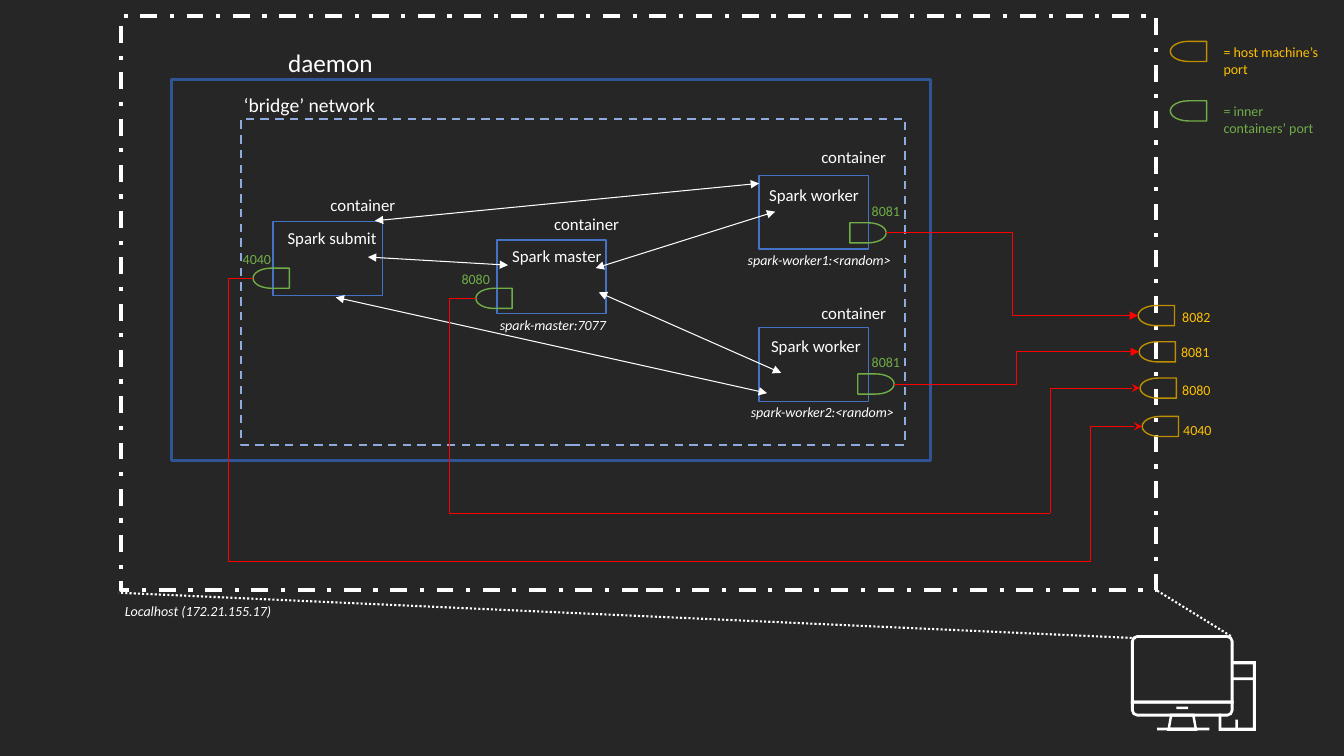
from pptx import Presentation
from pptx.dml.color import RGBColor
from pptx.enum.dml import MSO_LINE as DASH
from pptx.enum.shapes import MSO_CONNECTOR as WIRE, MSO_SHAPE as SHAPE
from pptx.enum.text import MSO_AUTO_SIZE as FIT, PP_ALIGN as ALIGN
from pptx.oxml.ns import qn
from pptx.util import Pt
from lxml.etree import SubElement

DARK = RGBColor(0x26, 0x26, 0x26)
WHITE = RGBColor(0xFF, 0xFF, 0xFF)
NAVY = RGBColor(0x2F, 0x55, 0x97)
BLUE = RGBColor(0x44, 0x72, 0xC4)
PALE = RGBColor(0x8F, 0xAA, 0xDC)
GREEN = RGBColor(0x70, 0xAD, 0x47)
GOLD = RGBColor(0xFF, 0xC0, 0x00)
BROWN = RGBColor(0xBD, 0x8E, 0x00)
RED = RGBColor(0xFF, 0x00, 0x00)

PORT_W, PORT_H = 26, 14.4
NODE_W, NODE_H = 78, 52.7

deck = Presentation()
deck.slide_width, deck.slide_height = Pt(960), Pt(540)
slide = deck.slides.add_slide(deck.slide_layouts[6])
slide.background.fill.solid()
slide.background.fill.fore_color.rgb = DARK
shapes = slide.shapes


def outline(kind, x, y, w, h, color, width, dash=None):
    shape = shapes.add_shape(kind, Pt(x), Pt(y), Pt(w), Pt(h))
    shape.shadow.inherit = False
    shape.fill.background()
    shape.line.color.rgb = color
    shape.line.width = Pt(width)
    if dash:
        shape.line.dash_style = dash
    return shape


def label(text, x, y, w, h, size, color=WHITE, italic=False):
    box = shapes.add_textbox(Pt(x), Pt(y), Pt(w), Pt(h))
    frame = box.text_frame
    frame.word_wrap = True
    frame.auto_size = FIT.SHAPE_TO_FIT_TEXT
    para = frame.paragraphs[0]
    para.text = text
    font = para.font
    font.name, font.size, font.italic = "Calibri", Pt(size), italic
    font.color.rgb = color
    return frame


def link(kind, x1, y1, x2, y2, color, width, head=None, tail=None):
    wire = shapes.add_connector(kind, Pt(x1), Pt(y1), Pt(x2), Pt(y2))
    wire.line.color.rgb = color
    wire.line.width = Pt(width)
    line = wire.line._get_or_add_ln()
    for tag, tip in (("a:headEnd", head), ("a:tailEnd", tail)):
        if tip:
            SubElement(line, qn(tag), type=tip)
    SubElement(wire._element.spPr, qn("a:effectLst"))
    return wire


def elbow(x1, y1, x2, y2, turn, tail=None):
    """Red wire whose upright part stands at x = turn."""
    wire = link(WIRE.ELBOW, x1, y1, x2, y2, RED, 0.5, tail=tail)
    bend = round((turn - x1) / (x2 - x1) * 100000)
    geom = wire._element.spPr.find(qn("a:prstGeom"))
    guides = geom.find(qn("a:avLst"))
    if guides is None:
        guides = SubElement(geom, qn("a:avLst"))
    SubElement(guides, qn("a:gd"), name="adj1", fmla=f"val {bend}")


def port(x, y, color, left=True):
    shape = outline(SHAPE.FLOWCHART_DELAY, x, y, PORT_W, PORT_H, color, 1)
    if left:
        shape.rotation = 180


def solid(x, y, *loops):
    """White area; a second loop cuts a hole."""
    first, *more = [[(Pt(x + a), Pt(y + b)) for a, b in loop] for loop in loops]
    path = shapes.build_freeform(*first[0])
    path.add_line_segments(first[1:])
    for loop in more:
        path.move_to(*loop[0])
        path.add_line_segments(loop[1:])
    paint(path.convert_to_shape())


def paint(shape):
    shape.shadow.inherit = False
    shape.fill.solid()
    shape.fill.fore_color.rgb = WHITE
    shape.line.fill.background()


def round_end(x, y, w, h, cut, up):
    """Corner points of a panel, rounded at its top or its bottom."""
    bit = 0.3 * cut
    half = [(0, h), (0, cut), (bit, bit), (cut, 0)]
    loop = half + [(w - a, b) for a, b in reversed(half)]
    return [(x + a, y + (b if up else h - b)) for a, b in loop]


def computer(x, y):
    for top, h, up in ((0, 49, True), (46.8, 11.5, False)):
        solid(x, y, round_end(0, top, 73.4, h, 4.5, up),
              round_end(2.1, top + 2.1, 69.2, h - 4.2, 2.4, up))
    solid(x, y, [(47.5, 68.4), (25.9, 68.4), (28.1, 56.2), (45.4, 56.2)],
          [(28.1, 66.2), (45.4, 66.2), (43.9, 58.3), (29.5, 58.3)])
    solid(x, y, [(89.3, 68.4), (62.6, 68.4), (62.6, 56.2), (64.7, 56.2), (64.7, 66.2),
                 (87.1, 66.2), (87.1, 20.9), (72, 20.9), (72, 18.7), (89.3, 18.7)])
    for a, b, w, h in ((32.4, 51.1, 8.6, 1.8), (18.7, 66.2, 37.4, 2),
                       (72, 30.2, 17.3, 2), (74.7, 60.5, 1.8, 7.6)):
        paint(shapes.add_shape(SHAPE.RECTANGLE, Pt(x + a), Pt(y + b), Pt(w), Pt(h)))


def node(x, y, title, mid, drop, tag, note, shift):
    """Container box; mid and drop place its title, tag and shift its outer labels."""
    outline(SHAPE.RECTANGLE, x, y, NODE_W, NODE_H, BLUE, 1)
    frame = label(title, x + mid - 45, y + drop, 90, 15, 12)
    frame.margin_left = frame.margin_right = frame.margin_bottom = 0
    frame.margin_top = Pt(2.9)
    para = frame.paragraphs[0]
    para.alignment = ALIGN.CENTER
    para.line_spacing = 0.85
    para.space_after = Pt(6)
    label("container", x + tag[0], y + tag[1], 78, 21.6, 12)
    if note:
        label(note, x + shift, y + 51, 132, 19.4, 10, italic=True)


def daemon(x, y):
    outline(SHAPE.RECTANGLE, x, y, 542.2, 272.2, NAVY, 2.25)
    label("daemon", x + 76.3, y - 26.7, 152.6, 28.8, 18)
    outline(SHAPE.RECTANGLE, x + 49.7, y + 28.1, 474.5, 232.6, PALE, 1.5, DASH.DASH)
    label("‘bridge’ network", x + 44.6, y + 5.7, 112.3, 24.5, 14)
    for a, b, *rest in (
            (419.8, 68.4, "Spark worker", 39.2, 5.7, (37.4, -23.8), "spark-worker1:<random>", -15.2),
            (232.6, 114.5, "Spark master", 42.8, 3.6, (33.8, -22.4), "spark-master:7077", -5.1),
            (419.8, 177.1, "Spark worker", 40.6, 5, (37.4, -21.6), "spark-worker2:<random>", -13),
            (72.7, 101.5, "Spark submit", 42.1, 3.6, (33.9, -23), None, 0)):
        node(x + a, y + b, *rest)
    for x1, y1, x2, y2 in (
            (303.1, 134.6, 431.3, 94.3), (305.3, 151.9, 435.6, 209.5),
            (145.4, 100.8, 419.8, 74.1), (117.4, 155.5, 425.5, 223.9),
            (140.4, 126.7, 240.5, 132.5)):
        link(WIRE.STRAIGHT, x + x1, y + y1, x + x2, y + y2, WHITE, 0.75,
             "triangle", "triangle")


def wiring(x, y):
    """Ports of the containers and the host, with the wires between them."""
    for inner, outer, near, far, left, turn, floor in (
            (("8081", 520.6, 147.6, 8.6, -18), ("8082", 726.5, 206.7, 24.5, -1.5),
             BROWN, GOLD, False, 636.5, None),
            (("8081", 526.3, 255.6, 2.9, -18), ("8081", 727.2, 232.6, 23, -2.2),
             BROWN, GOLD, False, 639.4, None),
            (("8080", 253.4, 194.4, -17.2, -16.5), ("8080", 727.9, 258.5, 23.1, -0.7),
             BROWN, GOLD, True, 234.7, (663.8, 355)),
            (("4040", 94.3, 180, -14.4, -15.8), ("4040", 729.4, 285.9, 22.3, 0),
             BROWN, GOLD, True, 76.3, (692.6, 389.6))):
        for (text, a, b, dx, dy), edge, ink, flip in (
                (inner, GREEN, GREEN, left), (outer, near, far, True)):
            port(x + a, y + b, edge, flip)
            label(text, x + a + dx, y + b + dy, 47.5, 19.4, 10, ink)
        x1 = x + inner[1] + (0 if left else PORT_W)
        y1, y2 = (y + end[2] + PORT_H / 2 for end in (inner, outer))
        x2 = x + outer[1]
        if floor:
            fx, fy = x + floor[0], y + floor[1]
            elbow(x1, y1, fx, fy, x + turn)
            elbow(fx, fy, x2, y2, fx, "stealth")
        else:
            elbow(x1, y1, x2, y2, x + turn, "triangle")


def host(x, y):
    outline(SHAPE.RECTANGLE, x, y, 739.4, 409.7, WHITE, 3, DASH.DASH_DOT)
    label("Localhost (172.21.155.17)", x - 4.3, y + 415.5, 132.5, 19.4, 10, italic=True)


def legend(x, y):
    for row, (text, edge, ink) in enumerate((
            ("= host machine’s port", BROWN, GOLD),
            ("= inner containers’ port", GREEN, GREEN))):
        top = y + row * 42.5
        port(x, top, edge)
        label(text, x + 31, top - 2.1, 89.3, 31.7, 10, ink)


computer(807.8, 453.6)
for ends in ((879.1, 454.3, 826.6, 421.9), (811.4, 455.8, 85, 423.4)):
    beam = link(WIRE.STRAIGHT, *ends, WHITE, 1.5)
    beam.line.dash_style = DASH.ROUND_DOT
daemon(122.4, 56.9)
host(86.4, 11.5)
wiring(86.4, 11.5)
legend(835.9, 29.5)
deck.save("out.pptx")
